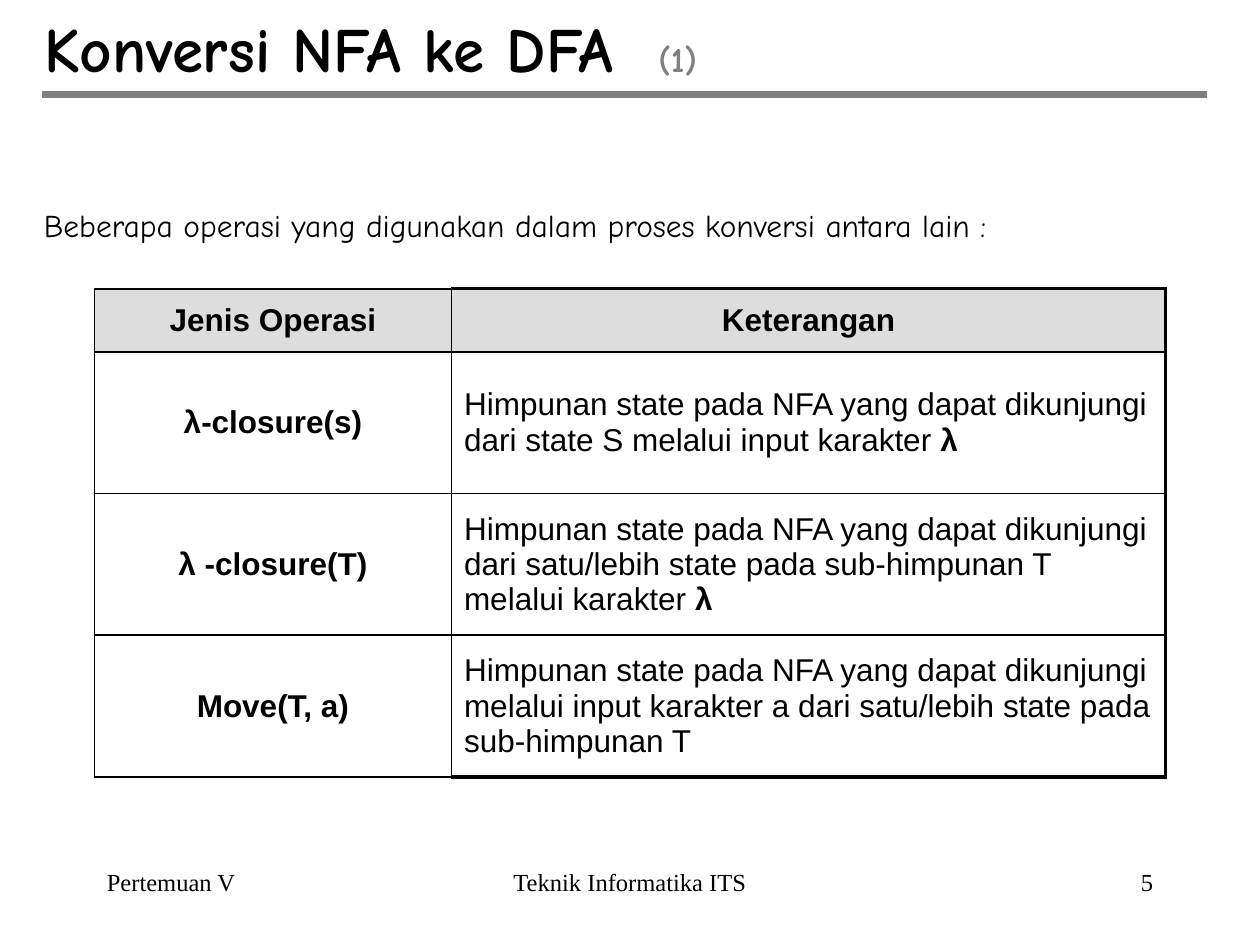
from lxml import etree
from pptx import Presentation, util as u
from pptx.dml import color
from pptx.enum import shapes, text
from pptx.oxml import ns

BLACK, GRAY, LIGHT_GRAY = "000000", "808080", "DDDDDD"
HAND, SANS, SERIF = "Comic Neue", "Arial", "Times New Roman"
LEFT, CENTER, RIGHT = text.PP_ALIGN.LEFT, text.PP_ALIGN.CENTER, text.PP_ALIGN.RIGHT
THIN, THICK = 1, 2.25
SPACE_BEFORE = 3.6


def rgb(value):
    return color.RGBColor.from_string(value)


def child(parent, tag, **attributes):
    return etree.SubElement(parent, ns.qn(tag), **attributes)


class SlideBuilder:
    def __init__(self, presentation):
        self.slide = presentation.slides.add_slide(presentation.slide_layouts[5])

    def style(self, paragraph, font_name, size, align=LEFT, bold=False, before=0):
        paragraph.alignment = align
        paragraph.space_before = u.Pt(before)
        font = paragraph.font
        font.name, font.size, font.bold = font_name, u.Pt(size), bold
        font.color.rgb = rgb(BLACK)

    def title(self, heading, number, number_stop, left, top, width, height):
        shape = self.slide.shapes.title
        shape.left, shape.top = u.Pt(left), u.Pt(top)
        shape.width, shape.height = u.Pt(width), u.Pt(height)
        frame = shape.text_frame
        frame.auto_size = text.MSO_AUTO_SIZE.NONE
        frame.vertical_anchor = text.MSO_ANCHOR.MIDDLE
        paragraph = frame.paragraphs[0]
        self.style(paragraph, HAND, 36, bold=True)
        paragraph.add_run().text = heading + "\t"
        run = paragraph.add_run()
        run.text = number
        run.font.size = u.Pt(20)
        run.font.color.rgb = rgb(GRAY)
        properties = paragraph._p.get_or_add_pPr()
        stops = etree.Element(ns.qn("a:tabLst"))
        child(stops, "a:tab", pos=str(u.Pt(number_stop)), algn="l")
        properties.find(ns.qn("a:defRPr")).addprevious(stops)

    def textbox(self, content, left, top, width, height, font_name, size, align=LEFT, before=0):
        shape = self.slide.shapes.add_textbox(*map(u.Pt, (left, top, width, height)))
        shape.text_frame.word_wrap = True
        paragraph = shape.text_frame.paragraphs[0]
        paragraph.text = content
        self.style(paragraph, font_name, size, align, before=before)

    def rule(self, left, right, y, width):
        line = self.slide.shapes.add_connector(
            shapes.MSO_CONNECTOR.STRAIGHT, u.Pt(left), u.Pt(y), u.Pt(right), u.Pt(y))
        line.line.color.rgb = rgb(GRAY)
        line.line.width = u.Pt(width)
        child(line._element.spPr, "a:effectLst")

    def borders(self, cell, widths):
        properties = cell._tc.get_or_add_tcPr()
        for index, (side, width) in enumerate(widths.items()):
            line = etree.Element(ns.qn(f"a:ln{side}"), w=str(u.Pt(width)))
            child(child(line, "a:solidFill"), "a:srgbClr", val=BLACK)
            properties.insert(index, line)

    def cell(self, cell, content, align, bold, fill):
        cell.vertical_anchor = text.MSO_ANCHOR.MIDDLE
        if fill:
            cell.fill.solid()
            cell.fill.fore_color.rgb = rgb(fill)
        else:
            cell.fill.background()
        paragraph = cell.text_frame.paragraphs[0]
        self.style(paragraph, SANS, 18, align, bold, SPACE_BEFORE)
        body, symbol, _ = content.partition("λ") if not bold else (content, "", "")
        paragraph.add_run().text = body
        if symbol:
            run = paragraph.add_run()
            run.text = symbol
            run.font.bold = True

    def table(self, rows, left, top, column_widths, row_heights):
        frame = self.slide.shapes.add_table(
            len(rows), len(column_widths), u.Pt(left), u.Pt(top),
            u.Pt(sum(column_widths)), u.Pt(sum(row_heights)))
        table = frame.table
        for column, width in zip(table.columns, column_widths):
            column.width = u.Pt(width)
        last = len(rows) - 1
        for r, (row, height) in enumerate(zip(rows, row_heights)):
            table.rows[r].height = u.Pt(height)
            for c, content in enumerate(row):
                header, detail = r == 0, c == 1
                cell = table.cell(r, c)
                align = CENTER if header or not detail else LEFT
                self.cell(cell, content, align, header or not detail, LIGHT_GRAY if header else None)
                self.borders(cell, {
                    "L": THIN,
                    "R": THICK if detail else THIN,
                    "T": THICK if detail and header else THIN,
                    "B": THICK if detail and r == last else THIN,
                })


OPERATIONS = [
    ("Jenis Operasi", "Keterangan"),
    ("λ-closure(s)",
     "Himpunan state pada NFA yang dapat dikunjungi dari state S melalui input karakter λ"),
    ("λ -closure(T)",
     "Himpunan state pada NFA yang dapat dikunjungi dari satu/lebih state pada "
     "sub-himpunan T melalui karakter λ"),
    ("Move(T, a)",
     "Himpunan state pada NFA yang dapat dikunjungi melalui input karakter a dari "
     "satu/lebih state pada sub-himpunan T"),
]
FOOTERS = [
    ("Pertemuan V", 54, 150, LEFT),
    ("Teknik Informatika ITS", 246, 228, CENTER),
    ("5", 516, 150, RIGHT),
]


def main():
    presentation = Presentation()
    presentation.slide_width, presentation.slide_height = u.Pt(720), u.Pt(540)
    builder = SlideBuilder(presentation)
    for content, left, width, align in FOOTERS:
        builder.textbox(content, left, 492, width, 36, SERIF, 14, align)
    builder.title("Konversi NFA ke DFA", "(1)", 351, 18, 6, 612, 42)
    builder.rule(24, 690, 54, 4.5)
    builder.textbox("Beberapa operasi yang digunakan dalam proses konversi antara lain :",
                    18, 114, 630, 30, HAND, 18, before=SPACE_BEFORE)
    builder.table(OPERATIONS, 54, 165, [204, 408], [36, 81, 81, 81])
    presentation.save("out.pptx")


if __name__ == "__main__":
    main()
